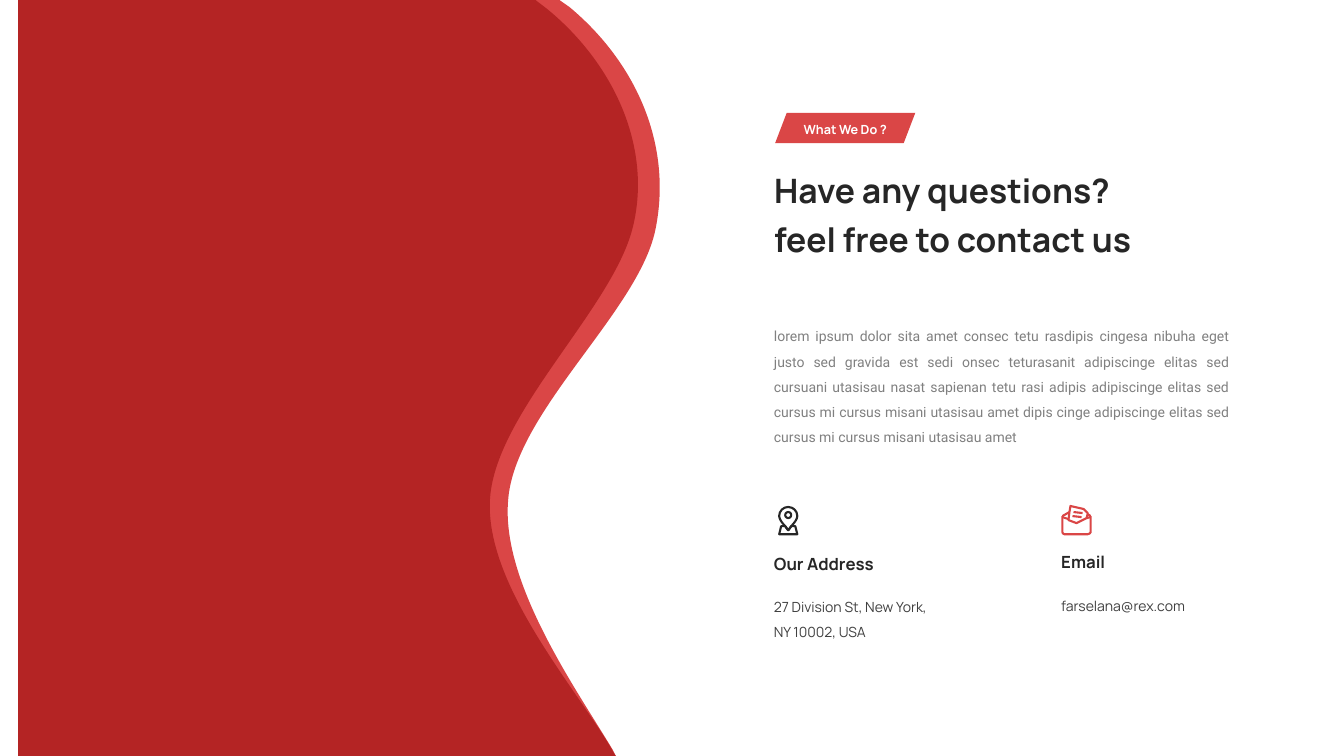
from pptx import Presentation
from pptx.dml.color import RGBColor
from pptx.enum.shapes import MSO_CONNECTOR as CONN, MSO_SHAPE as SHAPE
from pptx.enum.text import MSO_ANCHOR as ANCHOR, MSO_AUTO_SIZE as AUTO, PP_ALIGN as ALIGN
from pptx.oxml.ns import qn
from pptx.util import Inches, Pt
from lxml.etree import SubElement

# Content
TAG = "What We Do ?"
TITLE = ["Have any questions?", "feel free to contact us"]
INTRO = ("lorem ipsum dolor sita amet consec tetu rasdipis cingesa nibuha eget "
         "justo sed gravida est sedi onsec teturasanit adipiscinge elitas sed "
         "cursuani utasisau nasat sapienan tetu rasi adipis adipiscinge elitas sed "
         "cursus mi cursus misani utasisau amet dipis cinge adipiscinge elitas sed "
         "cursus mi cursus misani utasisau amet")
# left, label top, label, label width, detail lines, detail width, detail height
CONTACTS = [
    (7.58, 5.44, "Our Address", 1.67, ["27 Division St, New York,", "NY 10002, USA"], 1.89, 0.58),
    (10.43, 5.42, "Email", 1.61, ["farselana@rex.com"], 2.32, 0.33),
]
RED, DARK_RED, INK, BODY, GREY = "DA4646", "B42424", "262626", "404040", "808080"

# Outlines: a pair is a corner, six numbers are a Bezier curve
WAVES = [
    (RED, [(1, -0.01), (1, 0), (5.55, 0), (5.65, 0.07), (6.31, 0.62, 6.68, 1.44, 6.5, 2.29),
           (6.32, 3.11, 5.09, 4.1, 5.04, 4.98), (4.98, 5.8, 5.72, 6.84, 6.08, 7.44),
           (6.11, 7.5), (0.81, 7.5), (0.81, 7.51), (0.3, 7.5), (0.3, 0)]),
    (DARK_RED, [(0.73, -0.01), (5.3, -0.01), (5.43, 0.09), (6.1, 0.64, 6.47, 1.47, 6.28, 2.25),
                (6.08, 3.07, 4.89, 4.11, 4.86, 4.98), (4.83, 5.85, 5.77, 6.89, 6.09, 7.47),
                (6.11, 7.5), (0.18, 7.5), (0.18, 0)]),
]
PIN = [(7.91, 5.12), (7.91, 5.15, 7.88, 5.19, 7.85, 5.22), (7.83, 5.25, 7.82, 5.26, 7.82, 5.26),
       (7.82, 5.26, 7.81, 5.25, 7.79, 5.22), (7.76, 5.19, 7.73, 5.15, 7.73, 5.12),
       (7.73, 5.07, 7.77, 5.03, 7.82, 5.03), (7.87, 5.03, 7.91, 5.07, 7.91, 5.12)]
PIN_BASE = [(7.91, 5.3), (7.73, 5.3), (7.75, 5.22), (7.79, 5.22),
            (7.81, 5.25, 7.82, 5.26, 7.82, 5.26), (7.82, 5.26, 7.83, 5.25, 7.85, 5.22),
            (7.89, 5.22)]
ENVELOPE = [(10.82, 5.12), (10.82, 5.28), (10.82, 5.29, 10.8, 5.3, 10.79, 5.3), (10.56, 5.3),
            (10.55, 5.3, 10.54, 5.29, 10.54, 5.28), (10.54, 5.12)]
LETTER = [(10.79, 5.09), (10.79, 5.1), (10.78, 5.14), (10.68, 5.19), (10.6, 5.16),
          (10.61, 5.08), (10.62, 5.02), (10.75, 5.05)]
MAIL_LINES = [(10.82, 5.13, 10.78, 5.14), (10.6, 5.15, 10.54, 5.13), (10.61, 5.08, 10.54, 5.12),
              (10.82, 5.12, 10.79, 5.1), (10.65, 5.08, 10.74, 5.09), (10.64, 5.12, 10.73, 5.13)]


def rgb(color):
    return RGBColor.from_string(color)


def paint(sp, fill=None, line=None):
    sp.shadow.inherit = False
    if fill:
        sp.fill.solid()
        sp.fill.fore_color.rgb = rgb(fill)
    else:
        sp.fill.background()
    if line:
        sp.line.color.rgb = rgb(line)
        sp.line.width = Pt(1.5)
    else:
        sp.line.fill.background()


def bounds(outline, steps=40):
    """Left, top, right and bottom that the outline really reaches."""
    points = [part[-2:] for part in outline]
    for (x0, y0), part in zip(points[:], outline[1:]):
        if len(part) == 6:
            x1, y1, x2, y2, x3, y3 = part
            for i in range(1, steps):
                t = i / steps
                u = 1 - t
                a, b, c, d = u**3, 3 * u * u * t, 3 * u * t * t, t**3
                points.append((a*x0 + b*x1 + c*x2 + d*x3, a*y0 + b*y1 + c*y2 + d*y3))
    xs, ys = zip(*points)
    return min(xs), min(ys), max(xs), max(ys)


def draw(shapes, outline, close=True, **colors):
    left, top, right, bottom = map(Inches, bounds(outline))
    builder = shapes.build_freeform(left, top, scale=1.0)
    builder.add_line_segments([(right, bottom)], close=close)
    sp = builder.convert_to_shape()
    # Refill the sized path with corners and true curves
    path = next(sp.element.iter(qn("a:path")))
    for step in list(path):
        path.remove(step)
    for i, part in enumerate(outline):
        name = "a:moveTo" if i == 0 else "a:lnTo" if len(part) == 2 else "a:cubicBezTo"
        step = SubElement(path, qn(name))
        for x, y in zip(part[::2], part[1::2]):
            SubElement(step, qn("a:pt"), x=str(Inches(x) - left), y=str(Inches(y) - top))
    if close:
        SubElement(path, qn("a:close"))
    paint(sp, **colors)


def write(tf, lines, size, color, font="Manrope", bold=False, align=ALIGN.LEFT,
          spacing=1.0, wrap=True):
    tf.word_wrap = wrap
    tf.auto_size = AUTO.NONE
    tf.vertical_anchor = ANCHOR.TOP
    for i, line in enumerate(lines):
        p = tf.add_paragraph() if i else tf.paragraphs[0]
        p.alignment, p.line_spacing = align, spacing
        p.space_before = Pt(0)
        r = p.add_run()
        r.text = line
        r.font.name, r.font.size, r.font.bold = font, Pt(size), bold
        r.font.color.rgb = rgb(color)


def add_text(shapes, left, top, width, height, lines, size, color, **fmt):
    box = shapes.add_textbox(Inches(left), Inches(top), Inches(width), Inches(height))
    write(box.text_frame, lines, size, color, **fmt)


prs = Presentation()
prs.slide_width, prs.slide_height = Inches(40 / 3), Inches(7.5)
s = prs.slides.add_slide(prs.slide_layouts[5])

# Waves on the left
for color, outline in WAVES:
    draw(s.shapes, outline, fill=color)

# Contact details
for left, top, label, label_width, details, width, height in CONTACTS:
    add_text(s.shapes, left, top, label_width, 0.3, [label], 12, INK, bold=True)
    add_text(s.shapes, left, 5.8, width, height, details, 10, BODY, spacing=1.5)

# Map pin icon
pin = s.shapes.add_group_shape().shapes
draw(pin, PIN, line=INK)
paint(pin.add_shape(SHAPE.OVAL, Inches(7.79), Inches(5.08), Inches(0.06), Inches(0.06)), line=INK)
draw(pin, PIN_BASE, line=INK)

# Open letter icon
mail = s.shapes.add_group_shape().shapes
draw(mail, ENVELOPE, close=False, line=RED)
draw(mail, LETTER, line=RED)
for ends in MAIL_LINES:
    c = mail.add_connector(CONN.STRAIGHT, *map(Inches, ends))
    c.line.color.rgb = rgb(RED)
    c.line.width = Pt(1.5)
    SubElement(c.element.find(qn("p:spPr")), qn("a:effectLst"))

# Title, tag and introduction
title = s.shapes.title
title.left, title.top, title.width, title.height = map(Inches, (7.58, 1.56, 4.11, 1.03))
write(title.text_frame, TITLE, 24, INK, bold=True, spacing=1.2)

tag = s.shapes.add_group_shape().shapes
banner = tag.add_shape(SHAPE.PARALLELOGRAM, Inches(7.69), Inches(1.12), Inches(1.39), Inches(0.3))
banner.adjustments[0] = 0.382
paint(banner, fill=RED)
add_text(tag, 7.81, 1.16, 1.15, 0.25, [TAG], 9, "FFFFFF", bold=True, align=ALIGN.CENTER, wrap=False)

add_text(s.shapes, 7.58, 3.12, 4.71, 1.36, [INTRO], 10, GREY, font="Roboto",
         align=ALIGN.JUSTIFY, spacing=1.5)

prs.save("out.pptx")
